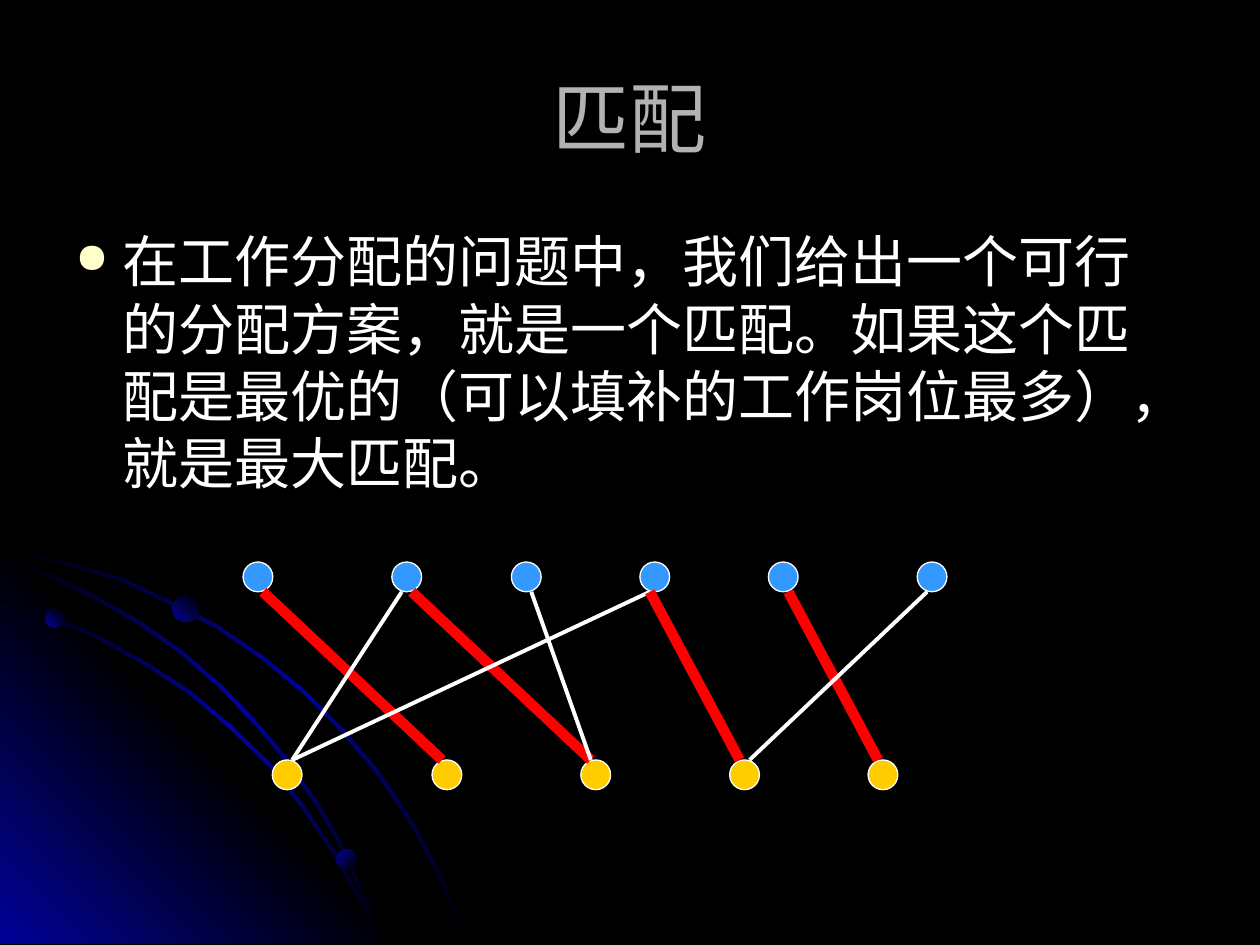
"""Build a slide on bipartite matching with a job assignment graph."""
from lxml import etree
from pptx import Presentation, util as u
from pptx.dml.color import RGBColor
from pptx.enum import shapes, text
from pptx.oxml import parse_xml
from pptx.oxml.ns import nsdecls, qn

COLORS = {
    "black": "000000", "blue": "010199", "white": "FFFFFF", "gray": "B2B2B2",
    "bullet": "FFFFCC", "person": "3399FF", "job": "FFCC00", "matched": "FF0000",
}
GLOW = ("black", "blue", "black")
CORNER = ("blue", "black", "blue")
DOT = ("black", "blue")

ARCS = [
    [(0, 11.05), (1.45, 11.35), (2.49, 11.66), (3.45, 12.12), (4.42, 12.62),
     (5.31, 13.23), (6.15, 13.92), (6.91, 14.68), (7.62, 15.52), (8.26, 16.46),
     (8.61, 17.09), (8.94, 17.73), (9.19, 18.36), (9.45, 19.02)],
    [(0, 12.07), (1.04, 12.4), (2.01, 12.83), (2.97, 13.36), (3.86, 13.94),
     (4.67, 14.63), (5.46, 15.39), (6.15, 16.26), (6.76, 17.17), (7.26, 18.08),
     (7.52, 18.54), (7.7, 19.02)],
    [(0, 11.23), (0.99, 11.56), (1.93, 12.01), (2.82, 12.52), (3.66, 13.11),
     (4.45, 13.79), (5.18, 14.55), (5.82, 15.32), (6.45, 16.23), (6.83, 16.89),
     (7.16, 17.6), (7.47, 18.29), (7.7, 19.02)],
]
ARC_WIDTH = 0.05
ARC_DOTS = [(0.91, 12.27, 0.38, 135), (6.78, 17.12, 0.41, 225), (3.48, 12.01, 0.53, 135)]

NODE = 0.6
PERSON_Y, JOB_Y = 11.33, 15.32
PERSONS = [4.9, 7.9, 10.31, 12.9, 15.49, 18.49]
JOBS = [5.49, 8.71, 11.71, 14.71, 17.5]
# person, job, matched, offsets of the two ends from the node centres
EDGES = [
    (0, 1, True, 0.1, -0.1), (1, 2, True, 0.1, -0.1), (3, 0, False, -0.1, 0.1),
    (3, 3, True, -0.1, -0.1), (4, 4, True, 0.1, -0.1), (5, 3, False, -0.1, 0.1),
    (2, 2, False, 0.1, -0.1), (1, 0, False, -0.1, 0.1),
]
BODY = ("在工作分配的问题中，我们给出一个可行的分配方案，就是一个匹配。"
        "如果这个匹配是最优的（可以填补的工作岗位最多），就是最大匹配。")


def rgb(name):
    """Return the named colour."""
    return RGBColor.from_string(COLORS[name])


def write(frame, content, *, size, color, font="Arial", align=None, before=0):
    """Write one paragraph into a text frame and return it."""
    paragraph = frame.paragraphs[0]
    paragraph.alignment = align
    paragraph.space_before = u.Pt(before)
    run = paragraph.add_run()
    run.text = content
    run.font.name, run.font.size = font, u.Pt(size)
    run.font.color.rgb = rgb(color)
    return paragraph


class SlideBuilder:
    """Hold the current slide and draw styled elements on it."""

    def __init__(self, slide, background):
        """Keep the slide and paint its background."""
        self.slide = slide
        slide.background.fill.solid()
        slide.background.fill.fore_color.rgb = rgb(background)

    def gradient(self, shape, names, angle):
        """Fill a shape with an evenly spaced linear gradient without outline."""
        shape.shadow.inherit = False
        shape.line.fill.background()
        shape.fill.gradient()
        fill = shape._element.spPr.find(qn("a:gradFill"))
        step = 100000 // (len(names) - 1)
        stops = "".join(f'<a:gs pos="{i * step}"><a:srgbClr val="{COLORS[name]}"/></a:gs>'
                        for i, name in enumerate(names))
        fill.getparent().replace(fill, parse_xml(
            f'<a:gradFill {nsdecls("a")} rotWithShape="1"><a:gsLst>{stops}</a:gsLst>'
            f'<a:lin ang="{angle * 60000}" scaled="0"/></a:gradFill>'))

    def polygon(self, points, names, angle):
        """Draw a closed outline with a gradient."""
        (x, y), *rest = [(u.Cm(px), u.Cm(py)) for px, py in points]
        builder = self.slide.shapes.build_freeform(x, y)
        builder.add_line_segments(rest, close=True)
        self.gradient(builder.convert_to_shape(), names, angle)

    def arc(self, edge):
        """Draw a thin curved band below its upper edge."""
        lower = [(max(0, x - ARC_WIDTH), y + ARC_WIDTH) for x, y in reversed(edge)]
        self.polygon(edge + lower, GLOW, 225)

    def circle(self, x, y, size):
        """Add a plain circle."""
        return self.slide.shapes.add_shape(
            shapes.MSO_SHAPE.OVAL, u.Cm(x), u.Cm(y), u.Cm(size), u.Cm(size))

    def node(self, x, y, color):
        """Draw a graph node."""
        shape = self.circle(x, y, NODE)
        shape.shadow.inherit = False
        shape.fill.solid()
        shape.fill.fore_color.rgb = rgb(color)
        shape.line.color.rgb = rgb("white")
        shape.line.width = u.Pt(0.75)

    def edge(self, start_x, end_x, matched):
        """Draw a line from a person to a job."""
        line = self.slide.shapes.add_connector(
            shapes.MSO_CONNECTOR.STRAIGHT, u.Cm(start_x), u.Cm(PERSON_Y + NODE),
            u.Cm(end_x), u.Cm(JOB_Y))
        line.line.color.rgb = rgb("matched" if matched else "white")
        line.line.width = u.Pt(6 if matched else 2.25)
        etree.SubElement(line._element.spPr, qn("a:effectLst"))

    def text_box(self, top, height, content, anchor, **style):
        """Add a wrapped text box across the slide and return its paragraph."""
        frame = self.slide.shapes.add_textbox(
            u.Cm(1.27), u.Cm(top), u.Cm(22.86), u.Cm(height)).text_frame
        frame.word_wrap = True
        frame.vertical_anchor = anchor
        return write(frame, content, **style)

    def bullet(self, paragraph, indent):
        """Give a paragraph a hanging round bullet."""
        properties = paragraph._p.get_or_add_pPr()
        properties.set("marL", str(u.Cm(indent)))
        properties.set("indent", str(-u.Cm(indent)))
        for xml in (f'<a:buClr {nsdecls("a")}><a:srgbClr val="{COLORS["bullet"]}"/></a:buClr>',
                    f'<a:buSzPct {nsdecls("a")} val="75000"/>',
                    f'<a:buChar {nsdecls("a")} char="●"/>'):
            properties.append(parse_xml(xml))


def main():
    """Build and save the presentation."""
    presentation = Presentation()
    presentation.slide_width, presentation.slide_height = u.Cm(25.4), u.Cm(19.05)
    builder = SlideBuilder(
        presentation.slides.add_slide(presentation.slide_layouts[6]), "black")

    builder.arc(ARCS[0])
    builder.polygon([(8.18, 19.03), (0, 19.03), (0, 10.85)], CORNER, 135)
    for arc in ARCS[1:]:
        builder.arc(arc)
    for x, y, size, angle in ARC_DOTS:
        builder.gradient(builder.circle(x, y, size), DOT, angle)

    builder.text_box(0.76, 3.18, "匹配", text.MSO_ANCHOR.MIDDLE, size=44, color="gray",
                     align=text.PP_ALIGN.CENTER)
    body = builder.text_box(4.45, 12.57, BODY, text.MSO_ANCHOR.TOP, size=32,
                            color="white", before=8)
    builder.bullet(body, 0.95)

    for xs, y, color in ((PERSONS, PERSON_Y, "person"), (JOBS, JOB_Y, "job")):
        for x in xs:
            builder.node(x, y, color)
    for person, job, matched, start, end in EDGES:
        builder.edge(PERSONS[person] + NODE / 2 + start, JOBS[job] + NODE / 2 + end, matched)

    presentation.save("out.pptx")


if __name__ == "__main__":
    main()
